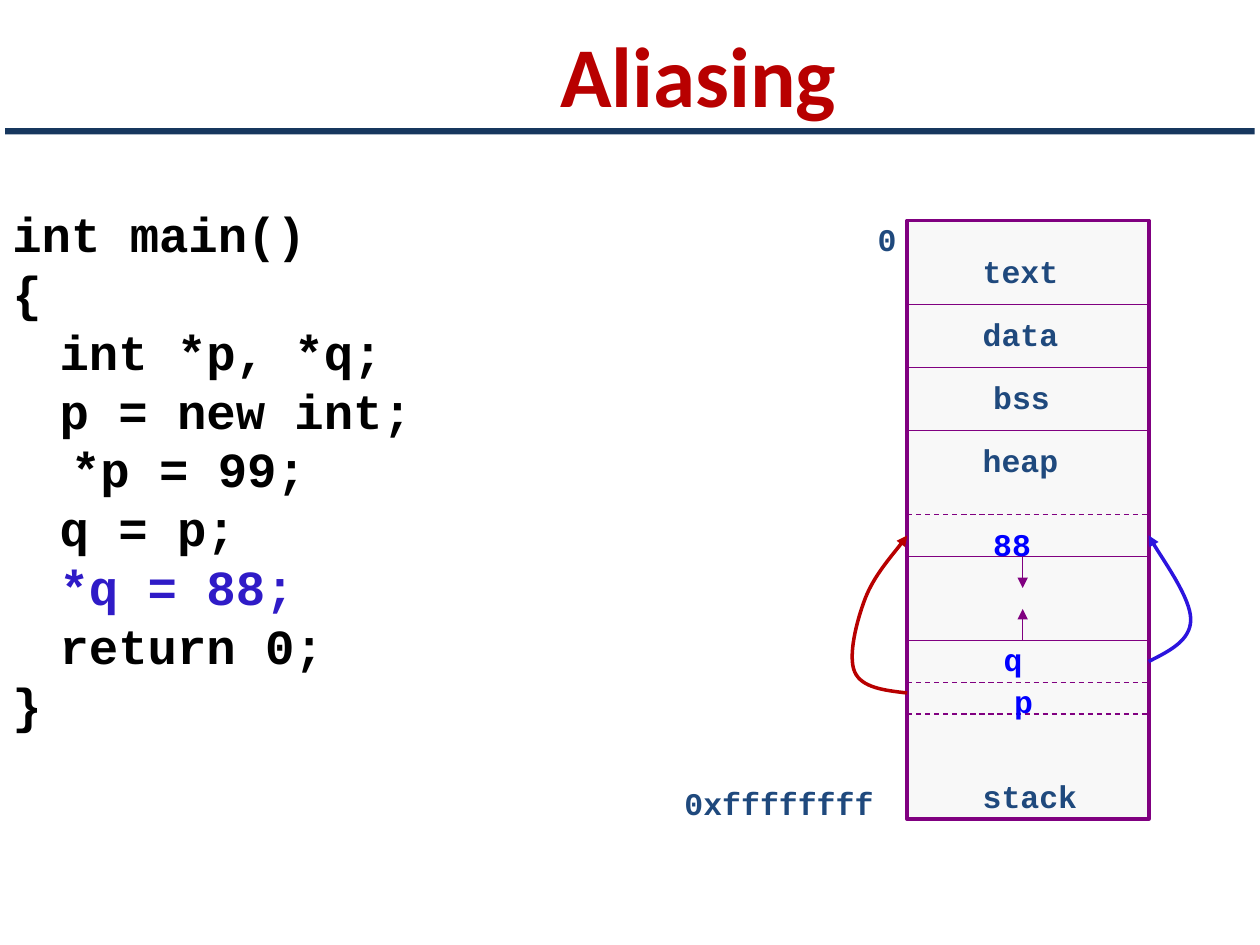
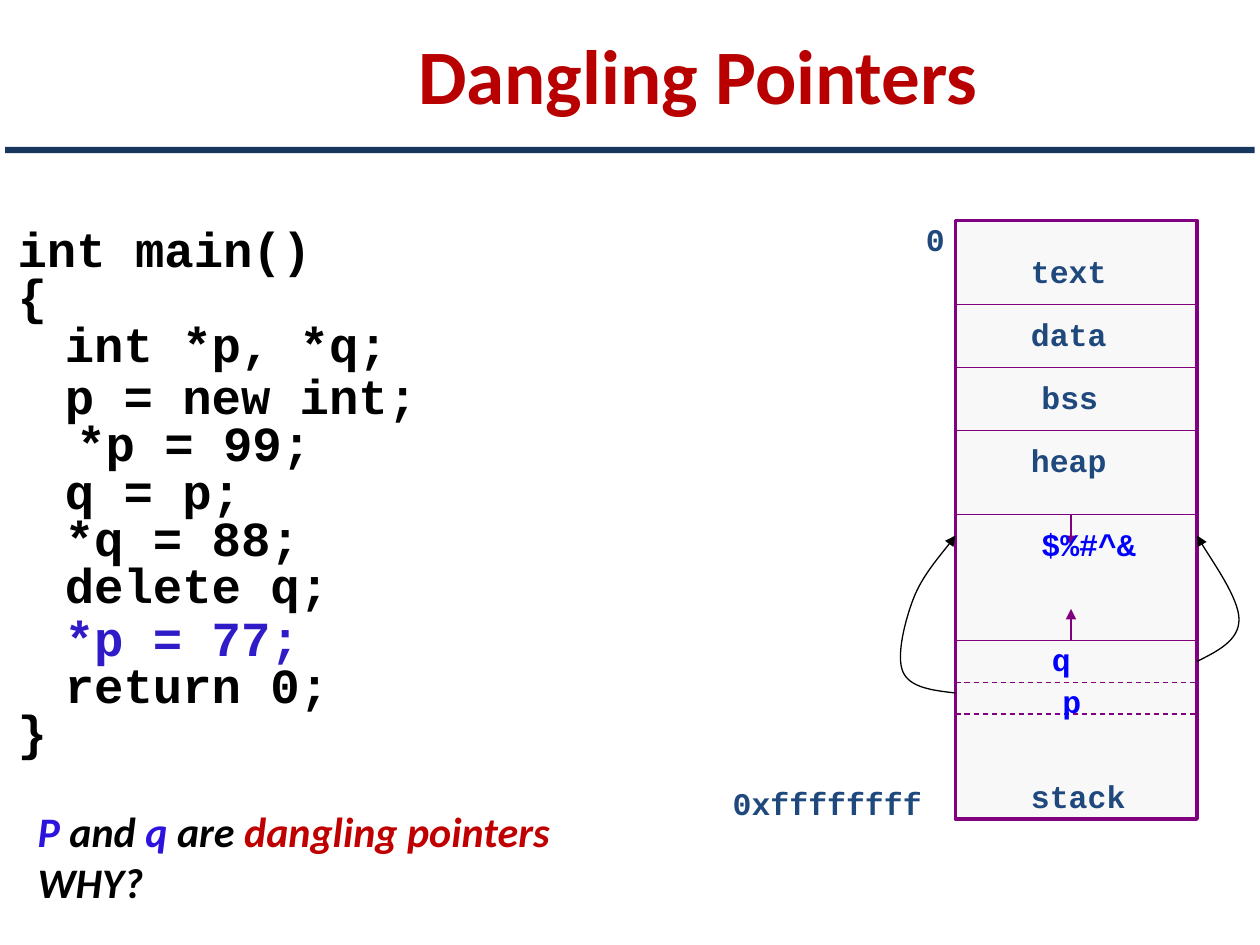
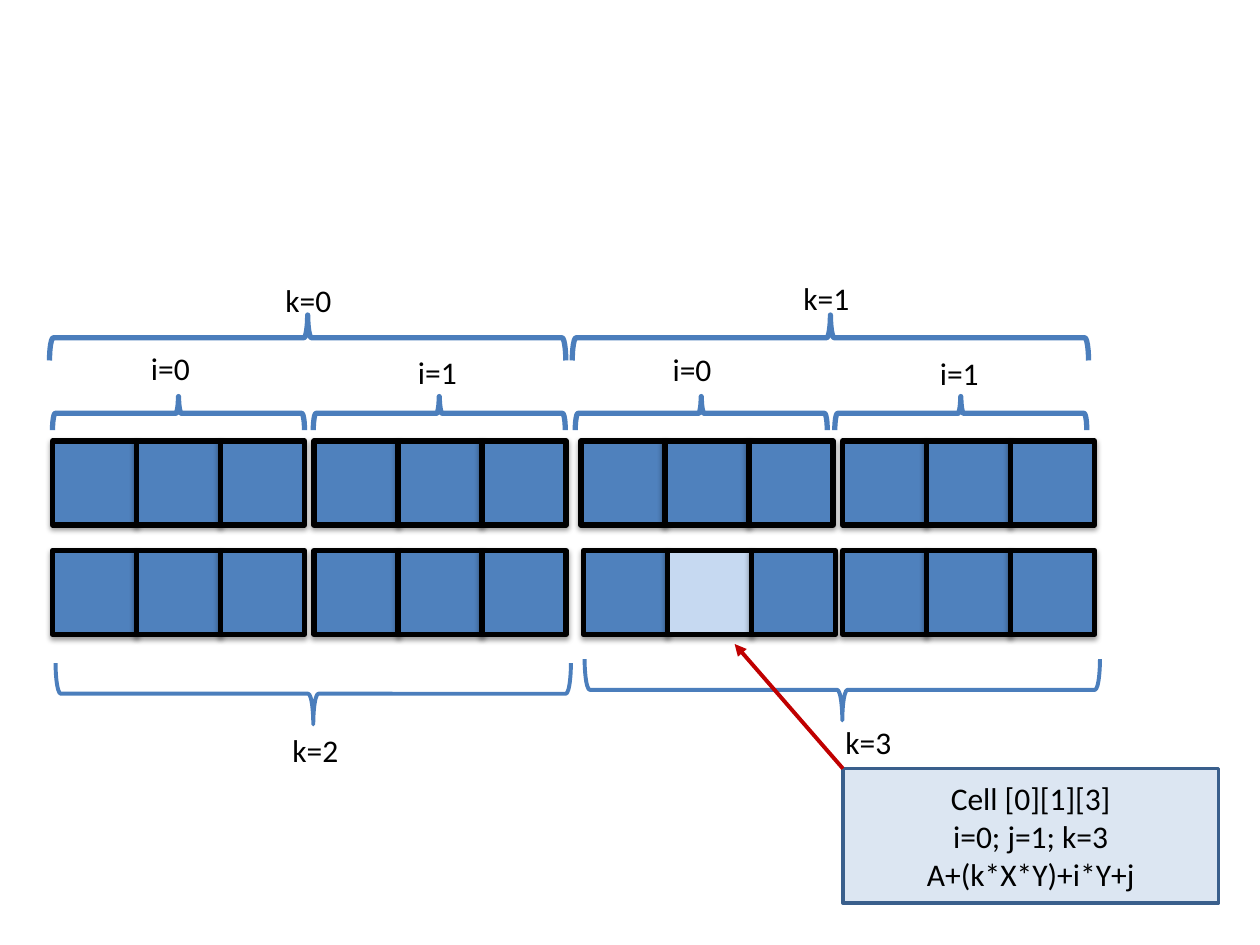
from dataclasses import dataclass

from lxml import etree
from pptx import Presentation
from pptx.dml.color import RGBColor
from pptx.enum.dml import MSO_LINE
from pptx.enum.shapes import MSO_CONNECTOR, MSO_SHAPE
from pptx.enum.text import MSO_ANCHOR, MSO_AUTO_SIZE, PP_ALIGN
from pptx.oxml.ns import qn
from pptx.util import Pt

STRAIGHT = MSO_CONNECTOR.STRAIGHT
RECTANGLE = MSO_SHAPE.RECTANGLE
LEFT_BRACE, RIGHT_BRACE = MSO_SHAPE.LEFT_BRACE, MSO_SHAPE.RIGHT_BRACE
DASH = MSO_LINE.DASH
MIDDLE = MSO_ANCHOR.MIDDLE
CENTER = PP_ALIGN.CENTER
FIT_SHAPE, NO_FIT = MSO_AUTO_SIZE.SHAPE_TO_FIT_TEXT, MSO_AUTO_SIZE.NONE
TITLE_ONLY, BLANK = 5, 6


@dataclass(frozen=True)
class Theme:
    body_font: str = "Calibri"
    code_font: str = "Courier New"
    title: str = "B80000"
    band: str = "17375E"
    text: str = "000000"
    code_accent: str = "2F1BC7"
    pointer_p: str = "B80000"
    pointer_q: str = "2C14DE"
    emphasis: str = "C00000"
    memory_fill: str = "F8F8F8"
    memory_line: str = "800080"
    segment: str = "1F497D"
    value: str = "0000FF"
    cell: str = "4F81BD"
    chosen_cell: str = "C6D9F1"
    brace: str = "4B7EBC"
    callout_fill: str = "DCE6F2"
    callout_line: str = "3A5F8C"
    code_size: float = 28
    remark_size: float = 24
    label_size: float = 18
    label_spacing: float = 23.8
    code_indent: float = 27


THEME = Theme()


def rgb(colour):
    return RGBColor.from_string(colour)


def style_font(font, name, size, colour, bold=False, italic=False):
    font.name = name
    font.size = Pt(size)
    font.bold = bold
    font.italic = italic
    font.color.rgb = rgb(colour)


def add_arrowhead(shape):
    line = shape.element.spPr.find(qn("a:ln"))
    etree.SubElement(line, qn("a:tailEnd"), type="triangle")


def add_box(slide, left, top, width, height, fill, line=None, line_width=1.0):
    box = slide.shapes.add_shape(RECTANGLE, Pt(left), Pt(top), Pt(width), Pt(height))
    box.shadow.inherit = False
    box.fill.solid()
    box.fill.fore_color.rgb = rgb(fill)
    if line:
        box.line.color.rgb = rgb(line)
        box.line.width = Pt(line_width)
    else:
        box.line.fill.background()
    return box


def add_line(slide, start, end, colour, width=0.75, dashed=False, arrow=False):
    line = slide.shapes.add_connector(STRAIGHT, *map(Pt, start + end))
    line.line.color.rgb = rgb(colour)
    line.line.width = Pt(width)
    if dashed:
        line.line.dash_style = DASH
    if arrow:
        add_arrowhead(line)
    etree.SubElement(line.element.spPr, qn("a:effectLst"))


def add_text_box(slide, left, top, width, height):
    frame = slide.shapes.add_textbox(Pt(left), Pt(top), Pt(width), Pt(height)).text_frame
    frame.word_wrap = True
    return frame


def add_code_label(slide, text, left, top, colour, width=90):
    frame = add_text_box(slide, left, top, width, 31)
    frame.auto_size = FIT_SHAPE
    frame.text = text
    label = frame.paragraphs[0]
    label.line_spacing = Pt(THEME.label_spacing)
    style_font(label.runs[0].font, THEME.code_font, THEME.label_size, colour, bold=True)


def add_index_label(slide, text, left, top):
    frame = add_text_box(slide, left, top, 150, 29)
    frame.auto_size = FIT_SHAPE
    frame.text = text
    style_font(frame.paragraphs[0].runs[0].font, THEME.body_font, THEME.label_size, THEME.text)


def add_titled_slide(deck, text, size, title_top, title_height, band_top):
    slide = deck.slides.add_slide(deck.slide_layouts[TITLE_ONLY])
    title = slide.shapes.title
    title.left, title.top = Pt(78), Pt(title_top)
    title.width, title.height = Pt(642), Pt(title_height)
    frame = title.text_frame
    frame.text = text
    frame.auto_size = NO_FIT
    frame.vertical_anchor = MIDDLE
    heading = frame.paragraphs[0]
    heading.alignment = CENTER
    style_font(heading.runs[0].font, THEME.body_font, size, THEME.title, bold=True)
    add_box(slide, 3, band_top, 714, 3.6, THEME.band)
    return slide


def add_code(slide, lines, left, top, spacing, accent, loose=(), loose_spacing=None):
    """Writes a listing; the accent line is coloured, loose lines stand further apart."""
    frame = add_text_box(slide, left, top, 430, spacing * len(lines) + 14)
    frame.text = "\n".join(lines)
    for line in frame.paragraphs:
        properties = line._p.get_or_add_pPr()
        properties.set("marL", str(Pt(THEME.code_indent)))
        properties.set("indent", str(-Pt(THEME.code_indent)))
        line.line_spacing = Pt(loose_spacing if line.text in loose else spacing)
        colour = THEME.code_accent if line.text == accent else THEME.text
        style_font(line.runs[0].font, THEME.code_font, THEME.code_size, colour, bold=True)


def add_pointer_curve(slide, left, points, colour, width):
    """Draws a start point followed by Bézier triples, x measured from left."""
    start, *rest = [(Pt(left + x), Pt(y)) for x, y in points]
    builder = slide.shapes.build_freeform(*start)
    builder.add_line_segments(rest, close=False)
    curve = builder.convert_to_shape()
    segments = list(curve.element.iter(qn("a:lnTo")))
    for first in range(0, len(segments), 3):
        triple = segments[first:first + 3]
        bezier = etree.Element(qn("a:cubicBezTo"))
        triple[0].addprevious(bezier)
        for segment in triple:
            bezier.append(segment[0])
            segment.getparent().remove(segment)
    curve.shadow.inherit = False
    curve.fill.background()
    curve.line.color.rgb = rgb(colour)
    curve.line.width = Pt(width)
    add_arrowhead(curve)


def add_memory(slide, left, heap_value, dividers, dashed, heap_end, p_colour, q_colour, curve_width):
    """Draws the address space with its segments, values and both pointers."""
    width, middle = 138, left + 66
    add_box(slide, left, 126, width, 342, THEME.memory_fill, THEME.memory_line, 2.25)
    for y in dividers + dashed:
        add_line(slide, (left, y), (left + width, y), THEME.memory_line, dashed=y in dashed)

    # Heap grows down, stack grows up
    for start, end in ((heap_end, heap_end + 18), (366, 348)):
        add_line(slide, (middle, start), (middle, end), THEME.memory_line, arrow=True)

    # Addresses, segment names and values
    add_code_label(slide, "0", left - 24, 120, THEME.segment, 30)
    add_code_label(slide, "0xffffffff", left - 134.4, 442, THEME.segment, 134.4)
    for name, x, y in (("text", 36, 138), ("data", 36, 174), ("bss", 42, 210),
                       ("heap", 36, 246), ("stack", 36, 438)):
        add_code_label(slide, name, left + x, y, THEME.segment)
    for value, x, y in ((heap_value, 42, 294), ("q", 48, 360), ("p", 54, 384)):
        add_code_label(slide, value, left + x, y, THEME.value)

    # Pointers p and q to the heap cell
    add_pointer_curve(slide, left, [
        (0, 396), (-13, 394.5), (-26, 393), (-30, 384), (-34, 375), (-29, 355),
        (-24, 342), (-19, 329), (-4, 312), (0, 306)], p_colour, curve_width)
    add_pointer_curve(slide, left, [
        (138, 378), (150, 372), (162, 366), (162, 354), (162, 342), (142, 314),
        (138, 306)], q_colour, curve_width)


def add_cell(slide, left, top, fill):
    cell = add_box(slide, left, top, 48, 48, fill, THEME.text, 3)
    effects = cell.element.spPr.find(qn("a:effectLst"))
    shadow = etree.SubElement(effects, qn("a:outerShdw"), blurRad="40000", dist="20000",
                              dir="5400000", rotWithShape="0")
    colour = etree.SubElement(shadow, qn("a:srgbClr"), val=THEME.text)
    etree.SubElement(colour, qn("a:alpha"), val="38000")


def add_brace(slide, preset, centre_x, centre_y, span, depth, width):
    brace = slide.shapes.add_shape(preset, Pt(centre_x - depth / 2), Pt(centre_y - span / 2),
                                   Pt(depth), Pt(span))
    brace.rotation = 90
    brace.shadow.inherit = False
    brace.fill.background()
    brace.line.color.rgb = rgb(THEME.brace)
    brace.line.width = Pt(width)


def add_remark(slide):
    frame = add_text_box(slide, 14.4, 457, 330, 65.5)
    frame.auto_size = FIT_SHAPE
    statement, question = frame.paragraphs[0], frame.add_paragraph()
    for paragraph, text, colour in (
            (statement, "P", THEME.pointer_q), (statement, " and ", THEME.text),
            (statement, "q", THEME.pointer_q), (statement, " are ", THEME.text),
            (statement, "dangling pointers", THEME.emphasis), (question, "WHY?", THEME.text)):
        run = paragraph.add_run()
        run.text = text
        style_font(run.font, THEME.body_font, THEME.remark_size, colour, bold=True, italic=True)


def add_callout(slide):
    callout = add_box(slide, 481.7, 439.2, 214.6, 77, THEME.callout_fill, THEME.callout_line, 2)
    frame = callout.text_frame
    frame.text = "Cell [0][1][3]\ni=0; j=1; k=3\nA+(k*X*Y)+i*Y+j"
    frame.vertical_anchor = MIDDLE
    for line in frame.paragraphs:
        line.alignment = CENTER
        style_font(line.runs[0].font, THEME.body_font, THEME.label_size, THEME.text)
    add_line(slide, (481.7, 439.2), (419.8, 368), THEME.emphasis, 2.25, arrow=True)


def build_aliasing(deck):
    slide = add_titled_slide(deck, "Aliasing", 48.6, 6, 72, 73.2)
    add_code(slide, ["int main()", "{", "\tint *p, *q;", "\tp = new int;", "  *p = 99;",
                     "\tq = p;", "\t*q = 88;", "\treturn 0;", "}"],
             0, 113, 33.6, accent="\t*q = 88;")
    add_memory(slide, 518.4, "88", dividers=(174, 210, 246, 318, 366), dashed=(294, 390, 408),
               heap_end=318, p_colour=THEME.pointer_p, q_colour=THEME.pointer_q, curve_width=2)


def build_dangling_pointers(deck):
    slide = add_titled_slide(deck, "Dangling Pointers", 44, 0, 84, 84)
    add_code(slide, ["int main()", "{", "\tint *p, *q;", "\tp = new int;", "  *p = 99;",
                     "\tq = p;", "\t*q = 88;", "\tdelete q;", "\t*p = 77;", "\treturn 0;", "}"],
             3, 128, 27, accent="\t*p = 77;", loose=("\tp = new int;", "\t*p = 77;"),
             loose_spacing=30)
    add_memory(slide, 546, "$%#^&", dividers=(174, 210, 246, 294, 366), dashed=(390, 408),
               heap_end=294, p_colour=THEME.text, q_colour=THEME.text, curve_width=0.75)
    add_remark(slide)


def build_array_layout(deck):
    slide = deck.slides.add_slide(deck.slide_layouts[BLANK])

    # Two rows of four groups with three cells each
    chosen = (1, 2, 1)
    rows = ((252, (30, 179.5, 332, 481.5)), (314.6, (30, 179.5, 333.3, 481.5)))
    for row, (top, group_lefts) in enumerate(rows):
        for group, left in enumerate(group_lefts):
            for column in range(3):
                fill = THEME.chosen_cell if (row, group, column) == chosen else THEME.cell
                add_cell(slide, left + column * 48, top, fill)

    # Braces over i and k, and under k
    for centre in (102, 251, 400.7, 549):
        add_brace(slide, LEFT_BRACE, centre, 236.2, 144, 19.2, 3)
    for centre in (175.8, 474.5):
        add_brace(slide, LEFT_BRACE, centre, 193, 295, 26, 3)
    for centre, middle in ((179, 396.4), (481.3, 394.2)):
        add_brace(slide, RIGHT_BRACE, centre, middle, 294.5, 35, 2.25)

    # Index labels
    for text, left, top in (("k=0", 156, 157), ("k=1", 452, 156), ("k=2", 160, 414),
                            ("i=0", 79.2, 196), ("i=1", 231.8, 198),
                            ("i=0", 377.3, 196.6), ("i=1", 530, 198.7)):
        add_index_label(slide, text, left, top)
    add_callout(slide)
    add_index_label(slide, "k=3", 476, 409.7)


def main():
    deck = Presentation()
    deck.slide_width, deck.slide_height = Pt(720), Pt(540)
    build_aliasing(deck)
    build_dangling_pointers(deck)
    build_array_layout(deck)
    deck.save("out.pptx")


if __name__ == "__main__":
    main()
